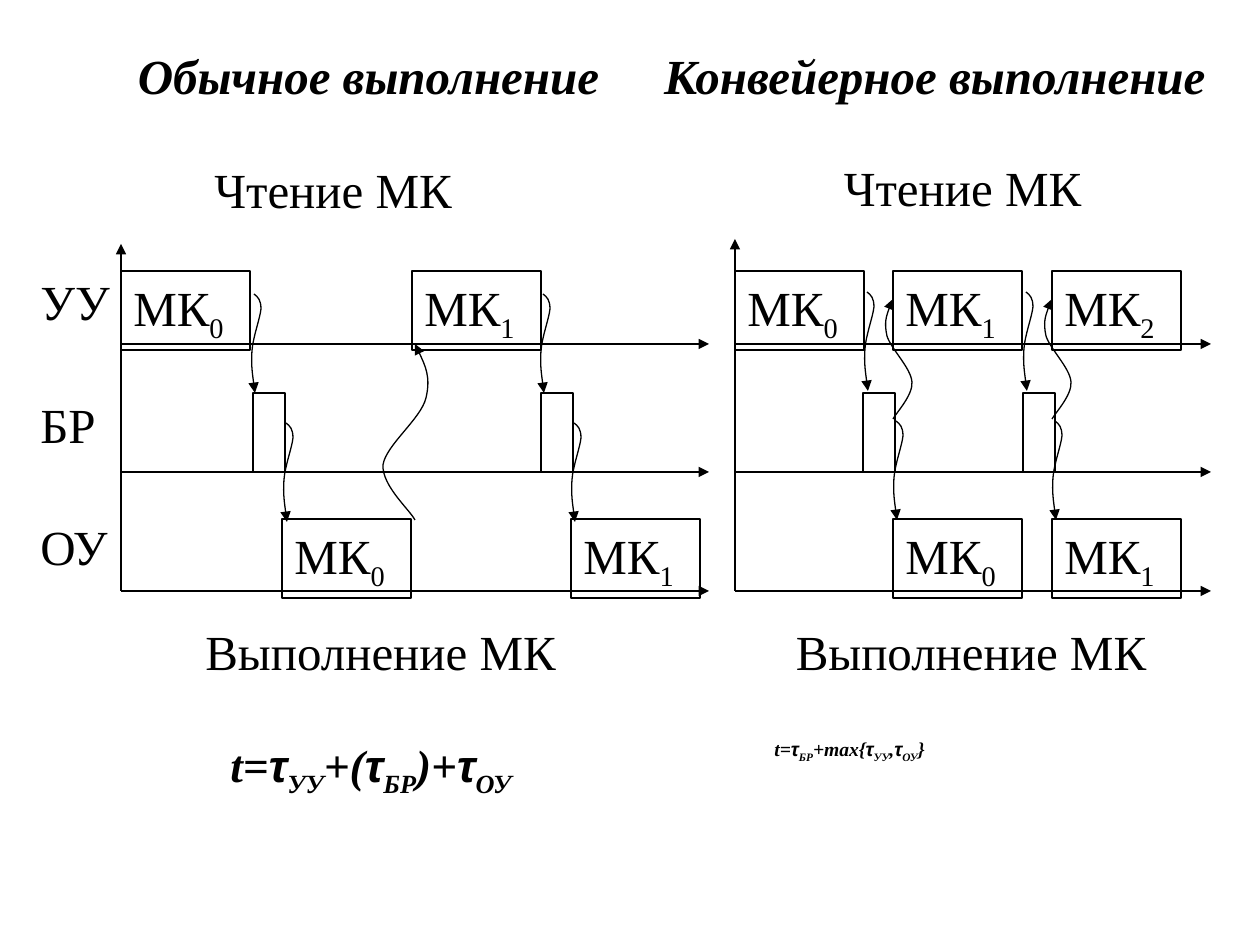
from typing import NamedTuple

from lxml import etree
from pptx import Presentation
from pptx.enum import shapes, text
from pptx.dml.color import RGBColor
from pptx.oxml import ns
from pptx.util import Emu, Pt

PX = 914400 / 126
INK = "000000"
SERIF, SANS = "Times New Roman", "Arial"
LEFT, MID, RIGHT = text.PP_ALIGN.LEFT, text.PP_ALIGN.CENTER, text.PP_ALIGN.RIGHT


class Label(NamedTuple):
    words: str  # parts split by "|", subscripts marked with "_"
    x: int
    y: int
    w: int
    h: int = 72
    align: text.PP_ALIGN = LEFT
    size: float = 28
    bold: bool = False
    indent: int = 0


class Chart(NamedTuple):
    x: int
    top: int
    end: int
    reads: list[int]
    stores: list[int]
    runs: list[int]
    drops: list[tuple[int, int]]


# Rows: control unit, register buffer, operating unit
AXES = (344, 472, 591)
READ_Y, STORE_Y, RUN_Y = 271, 393, 519
BOX_W, SLOT_W, BOX_H = 129, 32, 79

CHARTS = [
    Chart(121, 244, 709, [121, 412], [253, 541], [282, 571],
          [(254, 294), (286, 423), (543, 294), (574, 423)]),
    Chart(735, 239, 1211, [735, 893, 1052], [863, 1023], [893, 1052],
          [(867, 292), (896, 421), (1026, 292), (1055, 421)]),
]

# Bezier points, measured from the start of each curve
DROP = [(4, 3), (7, 6), (7, 15), (6, 25), (-1, 43), (-2, 57),
        (-3, 72), (0, 91), (1, 99)]
RISE = [(-5, 11), (-9, 23), (-6, 37), (-2, 50), (18, 69), (19, 83),
        (20, 96), (4, 113), (0, 120)]
LOOP = [(8, 16), (16, 33), (11, 54), (6, 75), (-29, 101), (-32, 121),
        (-33, 142), (-5, 166), (0, 176)]

LABELS = [
    Label("Обычное выполнение ", 25, 39, 699, align=MID, bold=True),
    Label("Конвейерное выполнение ", 590, 39, 640, align=RIGHT, bold=True),
    Label("Чтение МК", 202, 153, 388),
    Label("Чтение МК", 738, 151, 449, align=MID),
    Label("Выполнение МК", 193, 615, 388),
    Label("Выполнение МК", 738, 615, 466, align=MID),
    Label("УУ", 28, 265, 105),
    Label("БР", 28, 388, 105),
    Label("ОУ", 28, 510, 105),
    Label("t=|τ|_УУ|+(|τ|_БР|)+|τ|_ОУ", 159, 731, 586, 79,
          size=25.9, bold=True, indent=59),
    Label("t=|τ|_БР|+max{|τ|_УУ|,|τ|_ОУ|}", 709, 731, 525, 79,
          size=11.2, bold=True, indent=53),
]


def px(n: float) -> Emu:
    return Emu(round(n * PX))


def paint(color, code: str) -> None:
    color.rgb = RGBColor.from_string(code)


def ink(line) -> None:
    line.width = Pt(0.75)
    line.fill.solid()
    paint(line.color, INK)


def tip(shape, end: str) -> None:
    ln = shape.line._get_or_add_ln()
    etree.SubElement(ln, ns.qn(f"a:{end}"), type="triangle")


def write(frame, item: Label) -> None:
    frame.word_wrap = True
    frame.vertical_anchor = text.MSO_ANCHOR.TOP
    par = frame.paragraphs[0]
    par.alignment = item.align
    if item.indent:
        par._p.get_or_add_pPr().set("marL", str(px(item.indent)))
    for part in item.words.split("|"):
        run = par.add_run()
        run.text = part.lstrip("_")
        font = run.font
        font.name = SANS if part == "τ" else SERIF
        font.size = Pt(item.size)
        font.bold = font.italic = item.bold
        paint(font.color, INK)
        if part.startswith("_"):
            run._r.get_or_add_rPr().set("baseline", "-25000")


def label(tree, item: Label) -> None:
    box = tree.add_textbox(px(item.x), px(item.y), px(item.w), px(item.h))
    write(box.text_frame, item)


def block(tree, x: int, y: int, w: int, words: str = "") -> None:
    box = tree.add_shape(shapes.MSO_SHAPE.RECTANGLE, px(x), px(y), px(w), px(BOX_H))
    box.shadow.inherit = False
    box.fill.background()
    ink(box.line)
    if words:
        write(box.text_frame, Label(words, x, y, w))


def axis(tree, x1: int, y1: int, x2: int, y2: int) -> None:
    line = tree.add_connector(shapes.MSO_CONNECTOR.STRAIGHT,
                              px(x1), px(y1), px(x2), px(y2))
    ink(line.line)
    tip(line, "tailEnd")
    etree.SubElement(line._element.spPr, ns.qn("a:effectLst"))


def curve(tree, x: int, y: int, points: list[tuple[int, int]], end: str) -> None:
    pen = tree.build_freeform(x, y, scale=PX)
    pen.add_line_segments([(x + dx, y + dy) for dx, dy in points], close=False)
    shape = pen.convert_to_shape()
    shape.shadow.inherit = False
    shape.fill.background()
    ink(shape.line)
    tip(shape, end)
    # Each three line points become one cubic segment
    steps = list(shape._element.iter(ns.qn("a:lnTo")))
    for i in range(0, len(steps), 3):
        bend = etree.Element(ns.qn("a:cubicBezTo"))
        steps[i].addprevious(bend)
        for step in steps[i:i + 3]:
            bend.append(step[0])
            step.getparent().remove(step)


def draw(tree, chart: Chart) -> None:
    axis(tree, chart.x, AXES[-1], chart.x, chart.top)
    for y in AXES:
        axis(tree, chart.x, y, chart.end, y)
    for y, row in ((READ_Y, chart.reads), (RUN_Y, chart.runs)):
        for i, x in enumerate(row):
            block(tree, x, y, BOX_W, f"МК|_{i}")
    for x in chart.stores:
        block(tree, x, STORE_Y, SLOT_W)
    for x, y in chart.drops:
        curve(tree, x, y, DROP, "tailEnd")


def main() -> None:
    deck = Presentation()
    deck.slide_width, deck.slide_height = px(1260), px(945)
    tree = deck.slides.add_slide(deck.slide_layouts[6]).shapes

    # Timing charts
    for chart in CHARTS:
        draw(tree, chart)

    # Arrows back to the next read
    curve(tree, 415, 344, LOOP, "headEnd")
    for x in CHARTS[1].reads[1:]:
        curve(tree, x, 299, RISE, "headEnd")

    # Headings, row names and formulas
    for item in LABELS:
        label(tree, item)

    deck.save("out.pptx")


if __name__ == "__main__":
    main()
